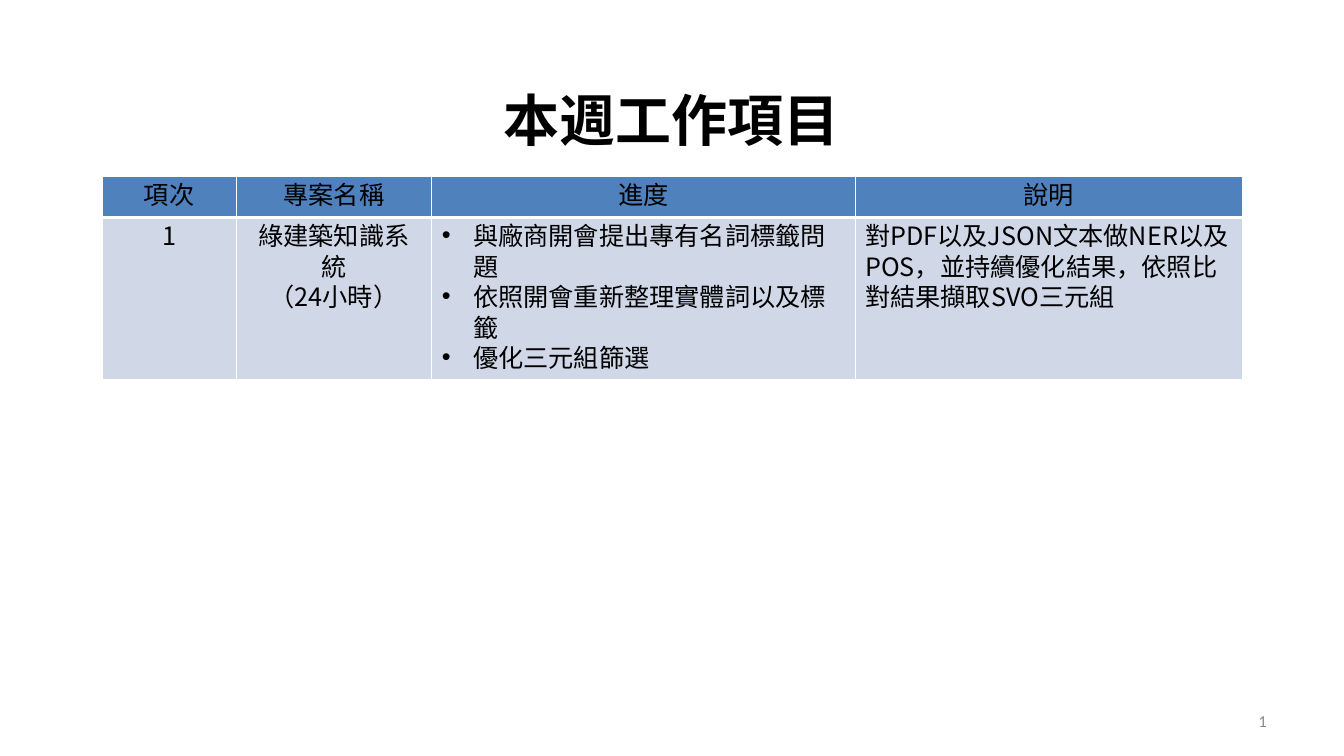
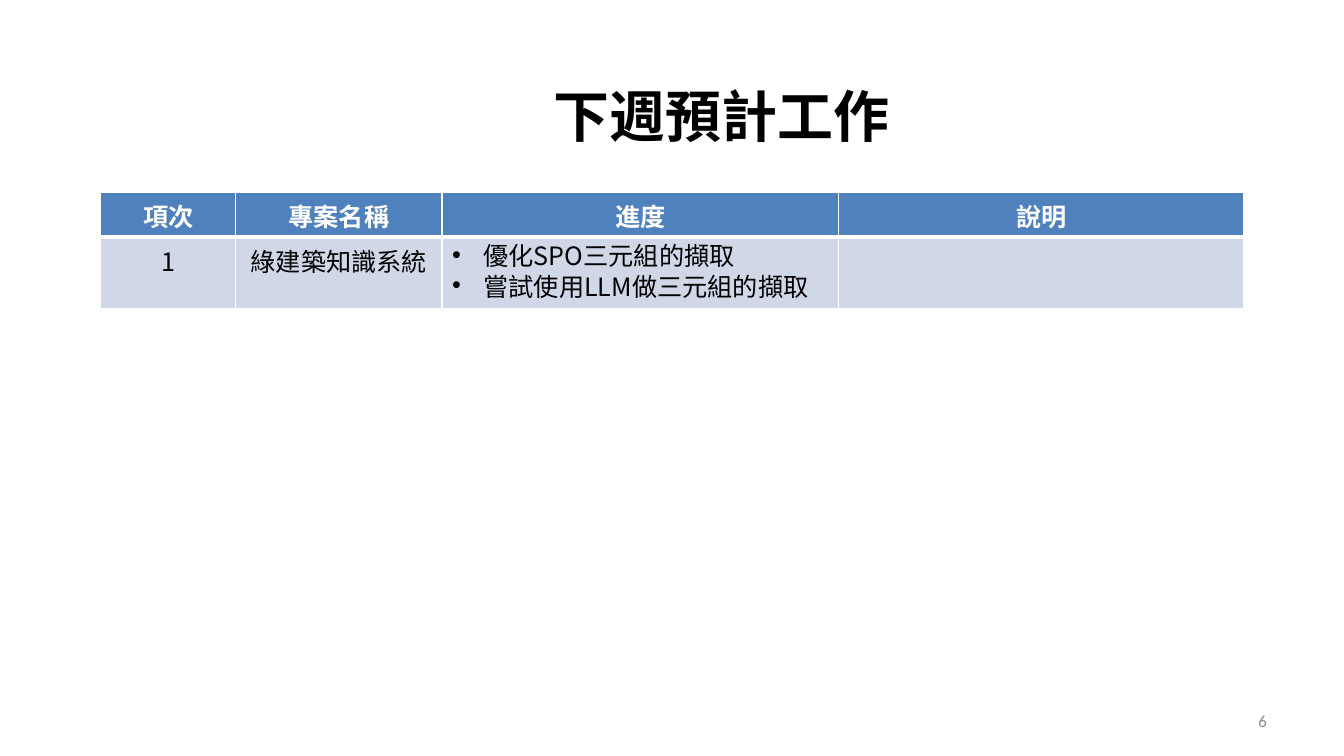
from dataclasses import dataclass

from pptx import Presentation
from pptx import util as u
from pptx.dml import color
from pptx.enum import text
from pptx.oxml import ns, xmlchemy

COLORS = {
    "ink": "000000",
    "white": "FFFFFF",
    "number": "8C8C8C",
    "header": "4F81BD",
    "body": "D0D8E8",
}
SANS_SC = "Noto Sans CJK SC"
SANS_TC = "Noto Sans CJK TC"
CALIBRI = "Calibri"
HEADINGS = ("項次", "專案名稱", "進度", "說明")
LINE_SPACING = u.Pt(21.8)
BULLET_INDENT = u.Cm(0.79)
TITLE_ONLY = 5


@dataclass(frozen=True)
class TextStyle:
    size: float
    latin: str
    color: str = "ink"
    bold: bool = False
    align: text.PP_ALIGN = text.PP_ALIGN.CENTER
    east_asian: str = SANS_TC
    fixed_spacing: bool = False
    bullet: bool = False


@dataclass(frozen=True)
class CellText:
    lines: tuple[str, ...]
    style: TextStyle


@dataclass(frozen=True)
class WorkSlide:
    title: str
    title_left: float
    title_top: float
    number: str
    table_left: float
    table_top: float
    columns: tuple[float, ...]
    rows: tuple[float, ...]
    thin: float
    thick: float
    heading_style: TextStyle
    cells: tuple[CellText, ...]


TITLE = TextStyle(40, SANS_SC, bold=True, east_asian=SANS_SC)
NUMBER = TextStyle(12, CALIBRI, "number", align=text.PP_ALIGN.RIGHT)
HEADING_DARK = TextStyle(18, SANS_TC, fixed_spacing=True)
HEADING_LIGHT = TextStyle(18, CALIBRI, "white", bold=True)
CENTERED = TextStyle(18, SANS_TC)
BULLETS = TextStyle(18, SANS_TC, align=text.PP_ALIGN.LEFT, fixed_spacing=True, bullet=True)
NOTE = TextStyle(18, SANS_SC, align=text.PP_ALIGN.LEFT, east_asian=SANS_SC, fixed_spacing=True)

SLIDES = (
    WorkSlide(
        "本週工作項目", 9.22, 2.03, "1",
        2.57, 4.45, (3.38, 4.93, 10.67, 9.75), (1.02, 4.06), 0.75, 2.18,
        HEADING_DARK,
        (
            CellText(("1",), HEADING_DARK),
            CellText(("綠建築知識系統\n（24小時）",), HEADING_DARK),
            CellText(
                (
                    "與廠商開會提出專有名詞標籤問題",
                    "依照開會重新整理實體詞以及標籤",
                    "優化三元組篩選",
                ),
                BULLETS,
            ),
            CellText(
                ("對PDF以及JSON文本做NER以及POS，並持續優化結果，依照比對結果擷取SVO三元組",),
                NOTE,
            ),
        ),
    ),
    WorkSlide(
        "下週預計工作", 10.49, 1.93, "6",
        2.54, 4.85, (3.4, 5.2, 10, 10.2), (1.13, 1.78), 1, 3,
        HEADING_LIGHT,
        (
            CellText(("1",), CENTERED),
            CellText(("綠建築知識系統",), CENTERED),
            CellText(("優化SPO三元組的擷取", "嘗試使用LLM做三元組的擷取"), BULLETS),
            CellText((), CENTERED),
        ),
    ),
)


def rgb(name: str) -> color.RGBColor:
    return color.RGBColor.from_string(COLORS[name])


def write_lines(frame, lines: tuple[str, ...], style: TextStyle) -> None:
    for index, line in enumerate(lines):
        paragraph = frame.add_paragraph() if index else frame.paragraphs[0]
        paragraph.text = line
        paragraph.alignment = style.align
        if style.fixed_spacing:
            paragraph.line_spacing = LINE_SPACING
        font = paragraph.font
        font.size = u.Pt(style.size)
        font.bold = style.bold
        font.color.rgb = rgb(style.color)
        font.name = style.latin
        properties = paragraph._p.pPr
        defaults = properties.find(ns.qn("a:defRPr"))
        east_asian = xmlchemy.OxmlElement("a:ea")
        east_asian.set("typeface", style.east_asian)
        defaults.append(east_asian)
        if style.bullet:
            properties.set("marL", str(BULLET_INDENT))
            properties.set("indent", str(-BULLET_INDENT))
            bullet_font = xmlchemy.OxmlElement("a:buFont")
            bullet_font.set("typeface", "Arial")
            bullet = xmlchemy.OxmlElement("a:buChar")
            bullet.set("char", "•")
            defaults.addprevious(bullet_font)
            defaults.addprevious(bullet)


def format_cell(cell, fill: str, widths: dict[str, float]) -> None:
    properties = cell._tc.get_or_add_tcPr()
    for side, width in widths.items():
        line = xmlchemy.OxmlElement(f"a:ln{side}")
        line.set("w", str(u.Pt(width)))
        solid = xmlchemy.OxmlElement("a:solidFill")
        line_color = xmlchemy.OxmlElement("a:srgbClr")
        line_color.set("val", COLORS["white"])
        solid.append(line_color)
        line.append(solid)
        properties.append(line)
    cell.fill.solid()
    cell.fill.fore_color.rgb = rgb(fill)


def add_title(slide, work: WorkSlide) -> None:
    title = slide.shapes.title
    title.left, title.top = u.Cm(work.title_left), u.Cm(work.title_top)
    title.width, title.height = u.Cm(15.39), u.Cm(1.96)
    title.text_frame.vertical_anchor = text.MSO_ANCHOR.MIDDLE
    write_lines(title.text_frame, (work.title,), TITLE)


def add_number(slide, number: str) -> None:
    box = slide.shapes.add_textbox(u.Cm(24.28), u.Cm(17.65), u.Cm(7.9), u.Cm(1.02))
    box.text_frame.word_wrap = True
    box.text_frame.vertical_anchor = text.MSO_ANCHOR.MIDDLE
    write_lines(box.text_frame, (number,), NUMBER)


def add_work_table(slide, work: WorkSlide) -> None:
    table = slide.shapes.add_table(
        len(work.rows), len(work.columns),
        u.Cm(work.table_left), u.Cm(work.table_top),
        u.Cm(sum(work.columns)), u.Cm(sum(work.rows)),
    ).table
    for column, width in zip(table.columns, work.columns):
        column.width = u.Cm(width)
    for row, height in zip(table.rows, work.rows):
        row.height = u.Cm(height)
    headings = tuple(CellText((heading,), work.heading_style) for heading in HEADINGS)
    header_borders = {"L": work.thin, "R": work.thin, "T": work.thin, "B": work.thick}
    body_borders = {"L": work.thin, "R": work.thin, "T": work.thick, "B": work.thin}
    bands = ((headings, "header", header_borders), (work.cells, "body", body_borders))
    for row, (contents, fill, borders) in zip(table.rows, bands):
        for cell, content in zip(row.cells, contents):
            format_cell(cell, fill, borders)
            write_lines(cell.text_frame, content.lines, content.style)


def main() -> None:
    presentation = Presentation()
    presentation.slide_width, presentation.slide_height = u.Cm(33.87), u.Cm(19.05)
    for work in SLIDES:
        slide = presentation.slides.add_slide(presentation.slide_layouts[TITLE_ONLY])
        add_number(slide, work.number)
        add_title(slide, work)
        add_work_table(slide, work)
    presentation.save("out.pptx")


if __name__ == "__main__":
    main()
